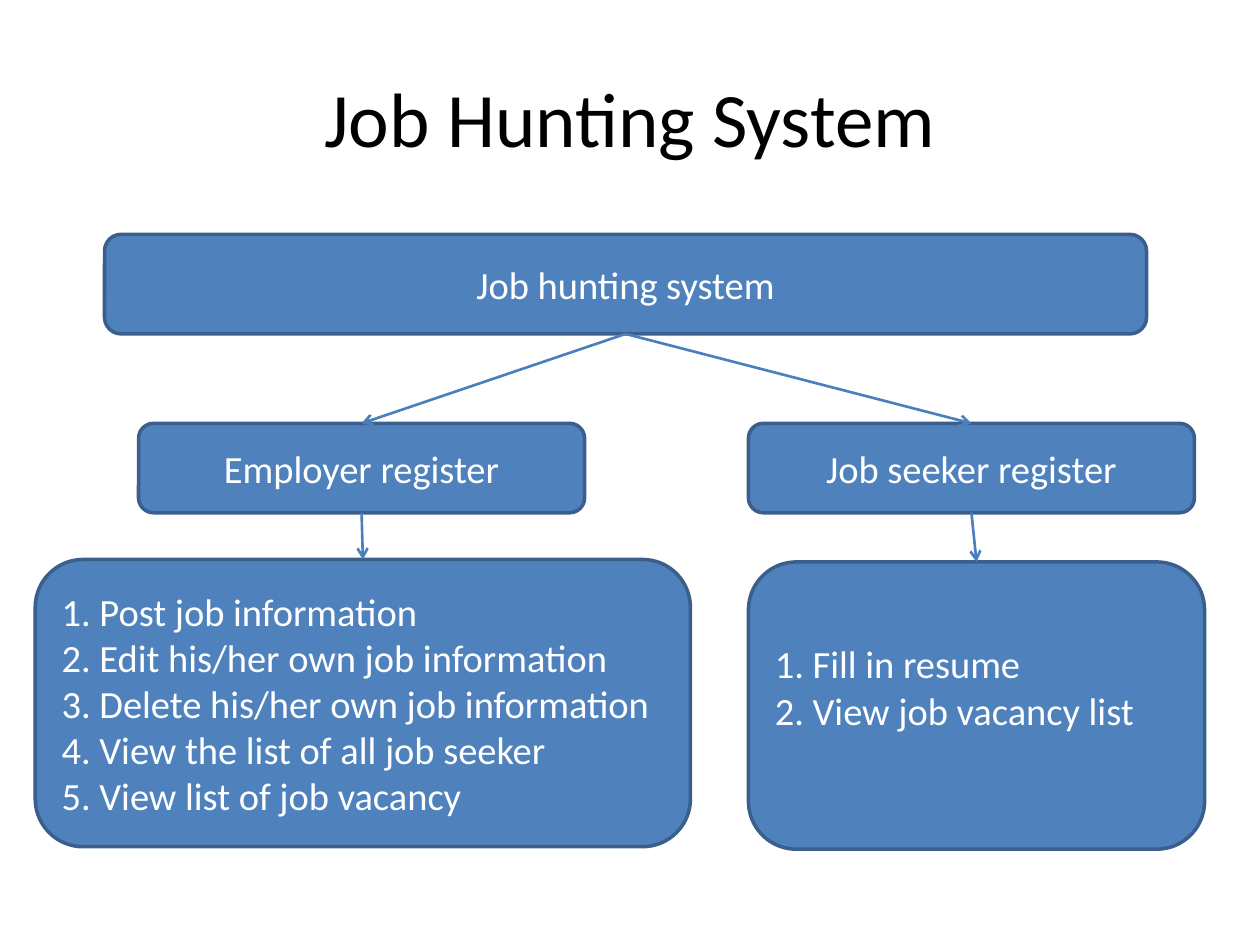
import pptx
import pptx.dml.color
import pptx.enum.shapes
import pptx.enum.text
import pptx.oxml
import pptx.oxml.ns
import pptx.util
from dataclasses import dataclass

ALIGN = pptx.enum.text.PP_ALIGN
MIDDLE = pptx.enum.text.MSO_ANCHOR.MIDDLE
TOP, BOTTOM = 0, 2  # connection sites

# Slide grid: one cell is a tenth of an inch
COLS, ROWS = 100, 75
CELL = pptx.util.Inches(0.1)


@dataclass(frozen=True)
class Theme:
    font: str = "Calibri"
    title_size: int = 44
    body_size: int = 22
    title: str = "000000"
    text: str = "FFFFFF"
    fill: str = "4F81BD"
    border: str = "3A5F8C"
    arrow: str = "4B7EBC"
    border_width: float = 2
    arrow_width: float = 1.5


THEME = Theme()


def grid(*cells):
    return [round(c * CELL) for c in cells]


def rgb(color):
    return pptx.dml.color.RGBColor.from_string(color)


def write(tf, lines, size, color, align):
    tf.word_wrap = True
    tf.vertical_anchor = MIDDLE
    for i, line in enumerate(lines):
        p = tf.paragraphs[0] if i == 0 else tf.add_paragraph()
        p.text = line
        p.alignment = align
        p.font.name = THEME.font
        p.font.size = pptx.util.Pt(size)
        p.font.color.rgb = rgb(color)


def set_title(slide, text):
    sp = slide.shapes.title
    sp.left, sp.top, sp.width, sp.height = grid(5, 3, 90, 12.5)
    write(sp.text_frame, [text], THEME.title_size, THEME.title, ALIGN.CENTER)


def add_box(slide, place, lines, align=ALIGN.CENTER):
    sp = slide.shapes.add_shape(
        pptx.enum.shapes.MSO_SHAPE.ROUNDED_RECTANGLE, *grid(*place))
    sp.shadow.inherit = False
    sp.fill.solid()
    sp.fill.fore_color.rgb = rgb(THEME.fill)
    sp.line.color.rgb = rgb(THEME.border)
    sp.line.width = pptx.util.Pt(THEME.border_width)
    write(sp.text_frame, lines, THEME.body_size, THEME.text, align)
    return sp


def add_arrow(slide, parent, child):
    cxn = slide.shapes.add_connector(
        pptx.enum.shapes.MSO_CONNECTOR.STRAIGHT, 0, 0, 0, 0)
    cxn.begin_connect(parent, BOTTOM)
    cxn.end_connect(child, TOP)
    cxn.line.color.rgb = rgb(THEME.arrow)
    cxn.line.width = pptx.util.Pt(THEME.arrow_width)
    # Open arrowhead at the child, no shadow
    ns = pptx.oxml.ns.nsdecls("a")
    cxn.line._get_or_add_ln().append(
        pptx.oxml.parse_xml(f'<a:tailEnd {ns} type="arrow"/>'))
    cxn._element.spPr.append(pptx.oxml.parse_xml(f"<a:effectLst {ns}/>"))


def main():
    prs = pptx.Presentation()
    prs.slide_width, prs.slide_height = grid(COLS, ROWS)
    slide = prs.slides.add_slide(prs.slide_layouts[5])
    set_title(slide, "Job Hunting System")

    # System and its two kinds of user
    system = add_box(slide, (8.3, 18.6, 82.7, 7.9), ["Job hunting system"])
    employer, seeker = [
        add_box(slide, (col, 33.6, 35.4, 7.1), [f"{user} register"])
        for col, user in ((11, "Employer"), (59.4, "Job seeker"))]

    # What each user can do
    seeker_tasks = add_box(slide, (59.4, 44.6, 36.2, 22.8), [
        "1. Fill in resume",
        "2. View job vacancy list",
    ], ALIGN.LEFT)
    seeker_tasks.text_frame.margin_bottom = pptx.util.Inches(0.35)
    employer_tasks = add_box(slide, (2.8, 44.4, 52, 22.8), [
        "1. Post job information",
        "2. Edit his/her own job information",
        "3. Delete his/her own job information",
        "4. View the list of all job seeker",
        "5. View list of job vacancy",
    ], ALIGN.LEFT)

    # Flow from top to bottom
    for parent, child in ((system, employer), (employer, employer_tasks),
                          (system, seeker), (seeker, seeker_tasks)):
        add_arrow(slide, parent, child)

    prs.save("out.pptx")


if __name__ == "__main__":
    main()
